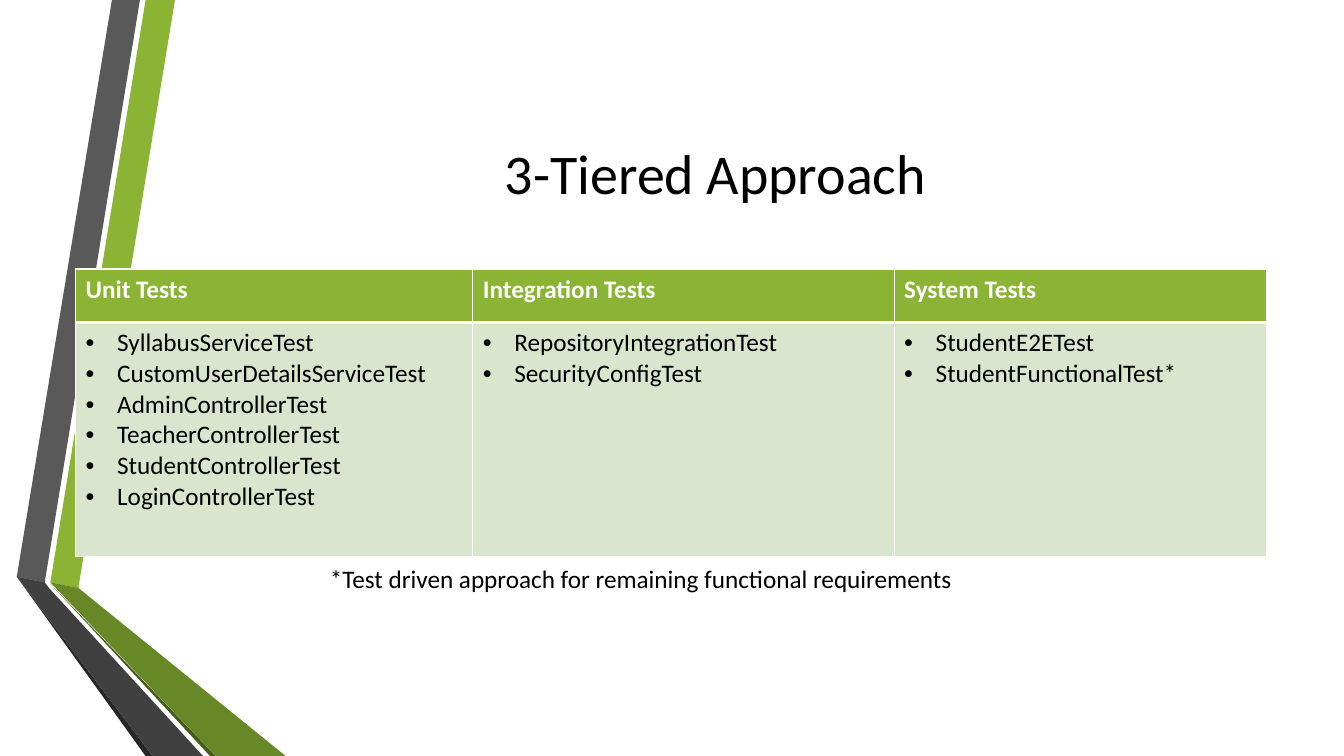
from dataclasses import dataclass

import lxml.etree
import pptx
import pptx.dml.color
import pptx.enum.text
import pptx.oxml.ns
import pptx.util

Pt = pptx.util.Pt
qn = pptx.oxml.ns.qn
FONT = "Calibri"
BLACK, WHITE, GREEN, PALE_GREEN = "000000", "FFFFFF", "8BB434", "DAE5CE"
ROW_HEIGHTS = (38.2, 167)
BULLET_INDENT = 22.5


@dataclass
class Ribbon:
    color: str
    points: list[tuple[float, float]]


@dataclass
class Tier:
    heading: str
    width: float
    tests: list[str]


RIBBONS = [
    Ribbon(GREEN, [(36, 416.3), (55.5, 419.8), (124.6, 0), (104.5, 0)]),
    Ribbon("595959", [(100, 0), (80, 0), (11.7, 412.5), (31.7, 415.5)]),
    Ribbon("262626", [(11.7, 412.5), (104.5, 540), (108.7, 540)]),
    Ribbon("465A1A", [(36, 416.9), (149.8, 540), (154, 540)]),
    Ribbon("688727", [(36, 416.5), (154, 540), (203.8, 540), (55.5, 419.8)]),
    Ribbon("404040", [(145.4, 540), (34.6, 419.8), (31.7, 415.5), (11.7, 412.5), (108.7, 540)]),
]

TIERS = [
    Tier("Unit Tests", 283.7, [
        "SyllabusServiceTest", "CustomUserDetailsServiceTest", "AdminControllerTest",
        "TeacherControllerTest", "StudentControllerTest", "LoginControllerTest"]),
    Tier("Integration Tests", 301, ["RepositoryIntegrationTest", "SecurityConfigTest"]),
    Tier("System Tests", 265.7, ["StudentE2ETest", "StudentFunctionalTest*"]),
]


def paint(fill, color: str) -> None:
    fill.solid()
    fill.fore_color.rgb = pptx.dml.color.RGBColor.from_string(color)


def format_text(frame, size: float, color: str, bold: bool = False) -> None:
    for para in frame.paragraphs:
        for span in para.runs:
            span.font.name = FONT
            span.font.size = Pt(size)
            span.font.bold = bold
            paint(span.font.fill, color)


def add_ribbon(page, ribbon: Ribbon) -> None:
    start, *rest = ribbon.points
    builder = page.shapes.build_freeform(*start, scale=float(Pt(1)))
    builder.add_line_segments(rest, close=True)
    shape = builder.convert_to_shape()
    shape.shadow.inherit = False
    paint(shape.fill, ribbon.color)
    shape.line.fill.background()


def add_bullet(para) -> None:
    properties = para._p.get_or_add_pPr()
    properties.set("marL", str(Pt(BULLET_INDENT)))
    properties.set("indent", str(-Pt(BULLET_INDENT)))
    lxml.etree.SubElement(properties, qn("a:buFont")).set("typeface", "Arial")
    lxml.etree.SubElement(properties, qn("a:buChar")).set("char", "•")


def set_borders(cell, top: float, bottom: float) -> None:
    properties = cell._tc.get_or_add_tcPr()
    widths = {"a:lnL": 1, "a:lnR": 1, "a:lnT": top, "a:lnB": bottom}
    for position, (tag, width) in enumerate(widths.items()):
        line = lxml.etree.Element(qn(tag))
        line.set("w", str(Pt(width)))
        fill = lxml.etree.SubElement(line, qn("a:solidFill"))
        lxml.etree.SubElement(fill, qn("a:srgbClr")).set("val", WHITE)
        properties.insert(position, line)


def add_tier_table(page) -> None:
    table = page.shapes.add_table(
        len(ROW_HEIGHTS), len(TIERS), Pt(54), Pt(192.2),
        Pt(sum(tier.width for tier in TIERS)), Pt(sum(ROW_HEIGHTS))).table
    for row, height in zip(table.rows, ROW_HEIGHTS):
        row.height = Pt(height)
    for index, tier in enumerate(TIERS):
        table.columns[index].width = Pt(tier.width)
        heading, tests = table.cell(0, index), table.cell(1, index)
        heading.text_frame.text = tier.heading
        format_text(heading.text_frame, 18, WHITE, bold=True)
        paint(heading.fill, GREEN)
        set_borders(heading, 1, 3)
        tests.text_frame.text = "\n".join(tier.tests)
        for para in tests.text_frame.paragraphs:
            add_bullet(para)
        format_text(tests.text_frame, 18, BLACK)
        paint(tests.fill, PALE_GREEN)
        set_borders(tests, 3, 1)


def add_title(page) -> None:
    title = page.shapes.title
    title.left, title.top, title.width, title.height = Pt(116.6), Pt(54), Pt(789), Pt(138.2)
    frame = title.text_frame
    frame.text = "3-Tiered Approach"
    frame.word_wrap = True
    frame.auto_size = pptx.enum.text.MSO_AUTO_SIZE.NONE
    frame.vertical_anchor = pptx.enum.text.MSO_ANCHOR.MIDDLE
    frame.paragraphs[0].alignment = pptx.enum.text.PP_ALIGN.CENTER
    format_text(frame, 40, BLACK)


def add_footnote(page) -> None:
    box = page.shapes.add_textbox(Pt(228.5), Pt(399), Pt(650), Pt(29))
    frame = box.text_frame
    frame.text = "*Test driven approach for remaining functional requirements"
    frame.word_wrap = True
    frame.auto_size = pptx.enum.text.MSO_AUTO_SIZE.SHAPE_TO_FIT_TEXT
    format_text(frame, 18, BLACK)


def main() -> None:
    deck = pptx.Presentation()
    deck.slide_width, deck.slide_height = Pt(960), Pt(540)
    page = deck.slides.add_slide(deck.slide_layouts.get_by_name("Title Only"))
    paint(page.background.fill, WHITE)
    for ribbon in RIBBONS:
        add_ribbon(page, ribbon)
    add_title(page)
    add_tier_table(page)
    add_footnote(page)
    deck.save("out.pptx")


if __name__ == "__main__":
    main()
